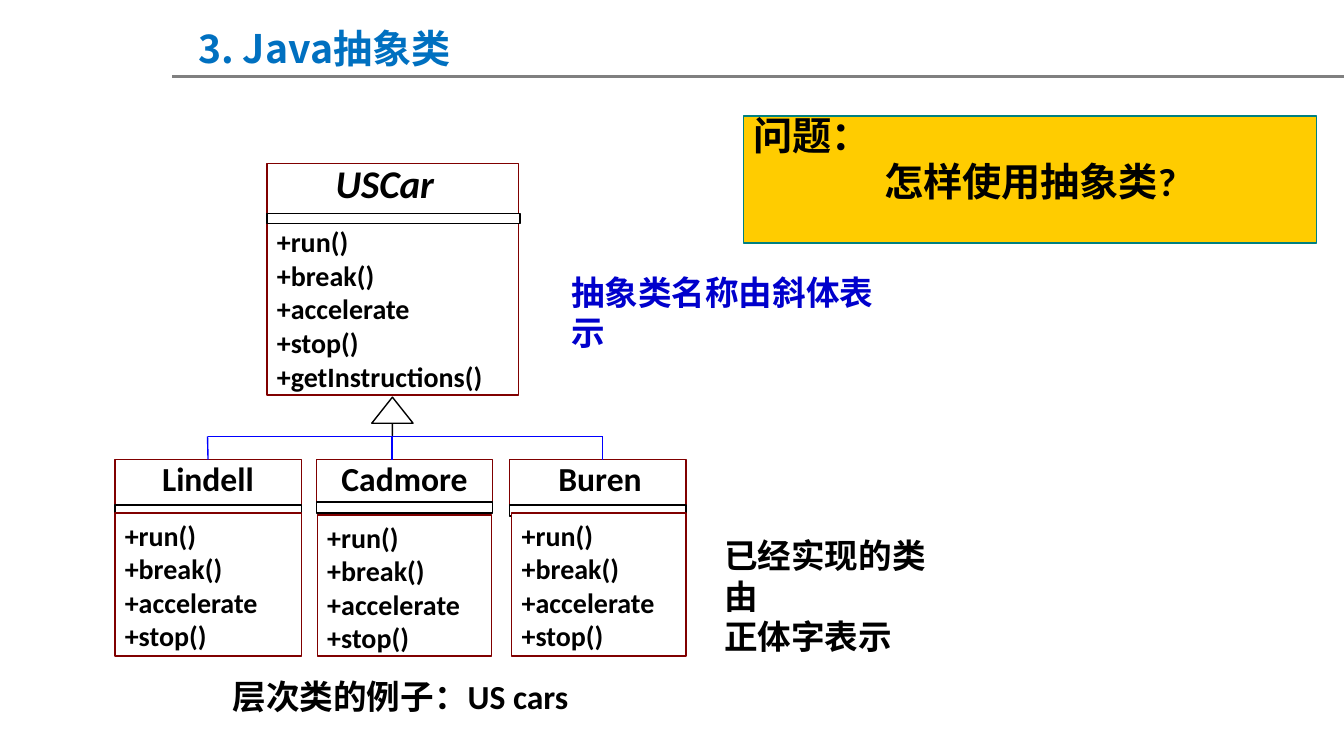
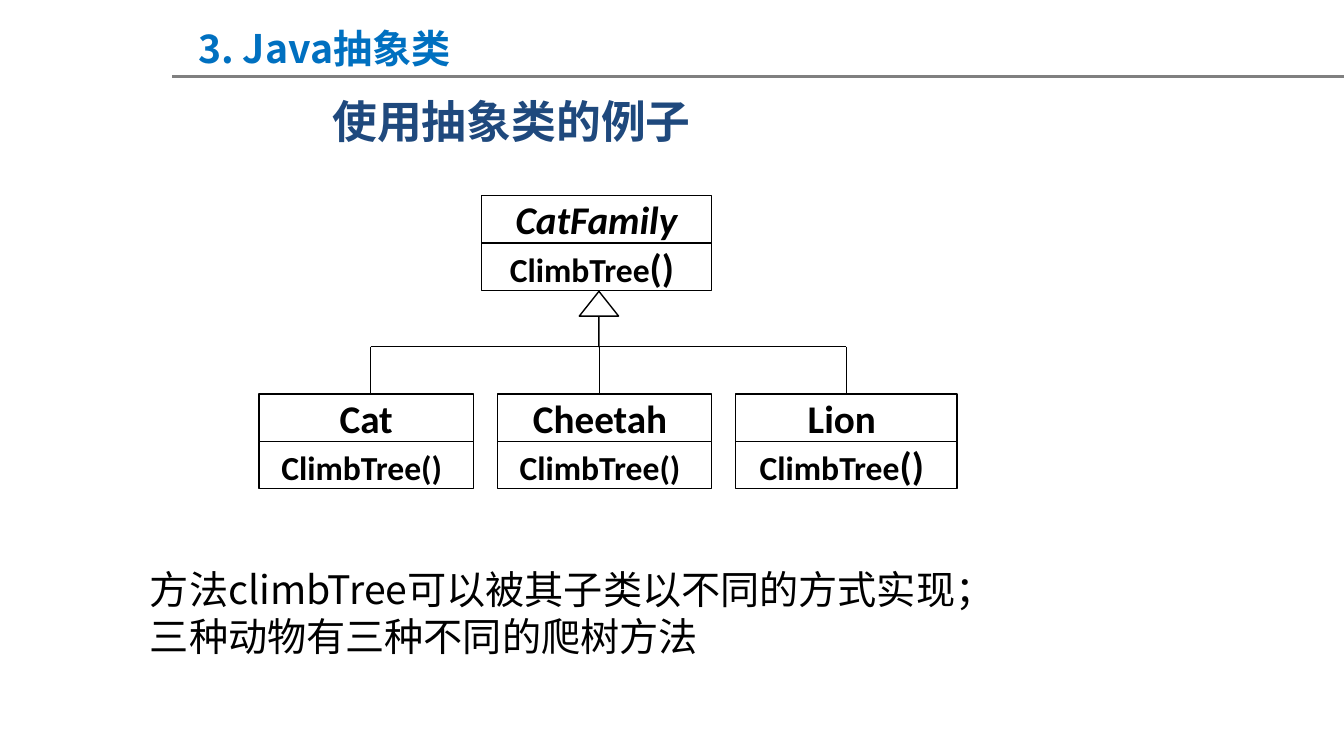
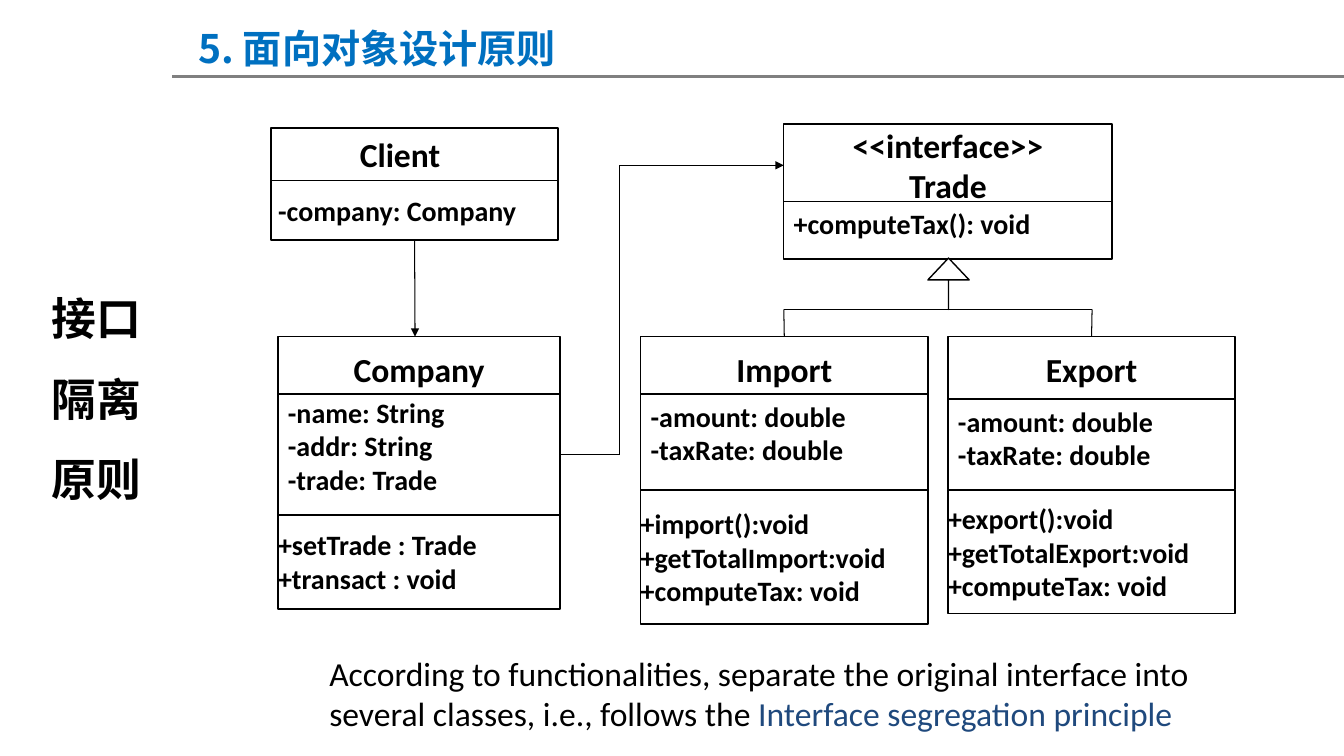
"""Build three slides of class diagrams about abstract classes and interfaces."""
import lxml.etree
import pptx
import pptx.dml.color
import pptx.enum.shapes
import pptx.enum.text
import pptx.oxml.ns
import pptx.util

Inches = pptx.util.Inches
SHAPE = pptx.enum.shapes.MSO_SHAPE
ALIGN = pptx.enum.text.PP_ALIGN
ANCHOR = pptx.enum.text.MSO_ANCHOR

BLACK, WHITE, MAROON, NAVY = "000000", "FFFFFF", "800000", "1F497D"
SANS, NOTO = "Calibri", "Noto Sans CJK SC"

BOLD = {"size": 24, "name": SANS, "bold": True, "color": BLACK}
SMALL = BOLD | {"size": 20}
LARGE = BOLD | {"size": 28}
HUGE = BOLD | {"size": 32}
TITLE = LARGE | {"name": NOTO, "color": "0070C0"}
PLAIN = BOLD | {"bold": False}
PROSE = PLAIN | {"size": 28, "name": NOTO}
SLANT = LARGE | {"italic": True}

MID = {"align": ALIGN.CENTER}
CORE = MID | {"anchor": ANCHOR.MIDDLE}
FLUSH = {"anchor": ANCHOR.MIDDLE, "pad": (0, 0.03, 0, 0.03)}
HEAD = FLUSH | MID
TIGHT = {"pad": (0.1, 0.01, 0.1, 0.01)}

JAVA = "3. Java抽象类"
DESIGN = "5. 面向对象设计原则"

MOVES = ["+run()", "+break()", "+accelerate", "+stop()"]
CARS = [
    ("Lindell", 1.14, 1.85, 0, 5.01, 5.09, (0, 0.05, 0, 0.05)),
    ("Cadmore", 3.14, 1.75, 0.01, 4.98, 5.11, (0.1, 0.05, 0.1, 0.05)),
    ("Buren", 5.06, 1.75, 0.02, 5.01, 5.09, (0.14, 0.05, 0.1, 0.05)),
]
CARWIRES = [
    (2.06, 4.33, 5.98, 4.33, None, None),
    (2.06, 4.33, 2.06, 4.56, None, ("Lindell", 0)),
    (3.89, 4.33, 3.89, 4.56, None, None),
    (5.98, 4.33, 5.98, 4.56, None, None),
]
CARNOTES = [
    (0.43, 6.66, 7.09, 0.5, ["层次类的例子：US cars"], BOLD, MID),
    (5.57, 2.65, 3.27, 0.87, ["抽象类名称由斜体表示"], BOLD | {"color": "0000CC"}, {}),
    (7.09, 5.26, 2.35, 1.27, ["已经实现的类由", "正体字表示"], BOLD, {}),
]

WIDE = [("ClimbTree", {}), ("() ", {"size": 28})]
EVEN = [("ClimbTree()", {}), (" ", {"size": 28})]
CATS = [
    ("CatFamily", 4.78, 1.94, 2.28, SLANT, WIDE),
    ("Cat", 2.57, 3.91, 2.13, LARGE, EVEN),
    ("Cheetah ", 4.94, 3.91, 2.12, LARGE, EVEN),
    ("Lion ", 7.3, 3.91, 2.2, LARGE, WIDE),
]
CATWIRES = [
    (3.68, 3.44, 8.4, 3.44, None, None),
    (3.68, 3.44, 3.68, 3.91, None, None),
    (5.95, 3.44, 5.95, 3.91, None, None),
    (8.4, 3.44, 8.4, 3.91, None, ("Lion ", 0)),
]
CATNOTES = [
    (0.58, 0.93, 9, 0.54, ["使用抽象类的例子"], HUGE | {"color": NAVY}, CORE),
    (1.39, 5.56, 8.82, 1.03,
     ["方法climbTree可以被其子类以不同的方式实现；", "三种动物有三种不同的爬树方法"], PROSE, {}),
]

FIELDS = ["-amount: double", "-taxRate: double"]
TYPES = {
    "Trade": (7.78, 3.26, [
        (1.23, 0.82, ["<<interface>>", "Trade"], BOLD, HEAD),
        (2, 0.57, ["+computeTax(): void"], SMALL, {})]),
    "Client": (2.69, 2.85, [
        (1.27, 0.52, ["Client"], BOLD, HEAD | {"pad": (0.07, 0.03, 0.36, 0.03)}),
        (1.79, 0.59, ["-company: Company"], SMALL, FLUSH | {"pad": (0.07, 0.03, 0.07, 0.03)})]),
    "Company": (2.76, 2.8, [
        (3.34, 0.65, ["Company"], BOLD, HEAD),
        (5.09, 0.95, ["+setTrade : Trade", "+transact : void"], SMALL, FLUSH),
        (3.91, 1.2, ["-name: String", "-addr: String", "-trade: Trade"], SMALL, TIGHT)]),
    "Import": (6.36, 2.85, [
        (3.34, 0.65, ["Import"], BOLD, HEAD),
        (4.86, 1.33, ["+import():void", "+getTotalImport:void", "+computeTax: void"], SMALL, FLUSH),
        (3.91, 0.95, FIELDS, SMALL, {})]),
    "Export": (9.41, 2.85, [
        (3.34, 0.65, ["Export"], BOLD, HEAD),
        (4.86, 1.23, ["+export():void", "+getTotalExport:void", "+computeTax: void"], SMALL, FLUSH),
        (3.96, 0.9, FIELDS, SMALL, {})]),
}
LINKS = [
    (7.78, 3.07, 10.84, 3.07, None, None),
    (7.78, 3.07, 7.78, 3.34, None, ("Import", 0, 0)),
    (10.84, 3.07, 10.84, 3.34, None, ("Export", 0, 0)),
    (5.56, 4.51, 6.15, 4.51, ("Company", 2, 3), None),
    (6.15, 4.51, 6.15, 1.64, None, None),
]
ARROWS = [
    (4.12, 2.38, 4.12, 3.34, ("Client", 1, 2), None),
    (6.15, 1.64, 7.78, 1.64, None, ("Trade", 0, 1)),
]
RULE = [
    ("According to functionalities, separate the original interface into "
     "several classes, i.e., follows the ", {}),
    ("Interface segregation principle", {"color": NAVY}),
]
TYPENOTES = [
    (3.17, 6.43, 8.78, 0.83, [RULE], PLAIN, {}),
    (0.29, 2.57, 1.34, 1.48, ["接口隔离原则"], HUGE, MID | {"lead": 1.5}),
]


def tint(code):
    return pptx.dml.color.RGBColor.from_string(code)


def tag(name):
    return pptx.oxml.ns.qn(name)


def write(frame, lines, face, form):
    frame.word_wrap = True
    frame.vertical_anchor = form.get("anchor", ANCHOR.TOP)
    sides = ("margin_left", "margin_top", "margin_right", "margin_bottom")
    for side, gap in zip(sides, form.get("pad", (0.1, 0.05, 0.1, 0.05))):
        setattr(frame, side, Inches(gap))
    for i, line in enumerate(lines):
        para = frame.paragraphs[0] if i == 0 else frame.add_paragraph()
        para.alignment = form.get("aligns", {}).get(i, form.get("align", ALIGN.LEFT))
        para.line_spacing = form.get("lead", 1.0)
        para.space_before = pptx.util.Pt(form.get("gap", 0) if i else 0)
        for text, extra in [(line, {})] if isinstance(line, str) else line:
            run = para.add_run()
            run.text = text
            look = face | extra
            font = run.font
            font.color.rgb = tint(look["color"])
            values = look | {"size": pptx.util.Pt(look["size"])}
            values.pop("color")
            for key, value in values.items():
                setattr(font, key, value)
            east = lxml.etree.SubElement(run._r.get_or_add_rPr(), tag("a:ea"))
            east.set("typeface", look["name"])


def note(page, x, y, w, h, lines, face, form):
    area = page.shapes.add_textbox(*map(Inches, (x, y, w, h)))
    write(area.text_frame, lines, face, form)


def box(page, x, y, w, h, lines=(), face=BOLD, form=None, edge=BLACK, fill=WHITE, kind=SHAPE.RECTANGLE):
    shape = page.shapes.add_shape(kind, *map(Inches, (x, y, w, h)))
    shape.shadow.inherit = False
    shape.fill.solid()
    shape.fill.fore_color.rgb = tint(fill)
    shape.line.color.rgb = tint(edge)
    shape.line.width = pptx.util.Pt(1)
    write(shape.text_frame, lines, face, form or {})
    return shape


def wire(page, x1, y1, x2, y2, start=None, stop=None, color=BLACK, width=1, arrow=False):
    ends = map(Inches, (x1, y1, x2, y2))
    line = page.shapes.add_connector(pptx.enum.shapes.MSO_CONNECTOR.STRAIGHT, *ends)
    line.line.color.rgb = tint(color)
    line.line.width = pptx.util.Pt(width)
    if arrow:
        tip = lxml.etree.SubElement(line.line._get_or_add_ln(), tag("a:tailEnd"))
        tip.set("type", "triangle")
    lxml.etree.SubElement(line._element.spPr, tag("a:effectLst"))
    if start:
        line.begin_connect(*start)
    if stop:
        line.end_connect(*stop)


def parent(page, x, y, w, h, head):
    mark = box(page, x, y, w, h, kind=SHAPE.UP_ARROW)
    mark.adjustments[0] = 0
    mark.adjustments[1] = head


def begin(deck, title):
    page = deck.slides.add_slide(deck.slide_layouts[6])
    wire(page, 1.71, 0.76, 13.34, 0.76, color="808080", width=2)
    note(page, 1.87, 0.19, 6.85, 0.57, [title], TITLE, {})
    return page


def cars(deck):
    page = begin(deck, JAVA)
    box(page, 7.38, 1.15, 5.69, 1.26, ["问题：", "怎样使用抽象类?"], LARGE,
        {"lead": 0.8, "gap": 5.6, "aligns": {1: ALIGN.CENTER}}, "008080", "FFCC00")
    box(page, 2.65, 1.62, 2.5, 0.58, ["USCar"], SLANT,
        MID | {"lead": 0.8, "pad": (0.1, 0.05, 0.26, 0.05)}, MAROON)
    box(page, 2.65, 2.18, 2.5, 1.74, MOVES + ["+getInstructions()"], SMALL, edge=MAROON)
    box(page, 2.65, 2.12, 2.51, 0.1)
    heads = {}
    for name, x, w, inset, bar, body, pad in CARS:
        form = MID | {"lead": 0.85, "pad": pad}
        heads[name] = box(page, x, 4.56, w, 0.46, [name], BOLD, form, MAROON)
        box(page, x, bar, w, 0.11)
        box(page, x + inset, body, w - (0.02 if inset else 0), 6.51 - body, MOVES, SMALL, edge=MAROON)
    for *ends, start, stop in CARWIRES:
        wire(page, *ends, stop=stop and (heads[stop[0]], stop[1]), color="0000FF")
    parent(page, 3.69, 3.94, 0.41, 0.38, 0.68)
    for item in CARNOTES:
        note(page, *item)


def cats(deck):
    page = begin(deck, JAVA)
    heads = {}
    for name, x, y, w, face, method in CATS:
        heads[name] = box(page, x, y, w, 0.47, [name], face, CORE)
        box(page, x, y + 0.47, w, 0.47, [method], BOLD, CORE)
    parent(page, 5.75, 2.89, 0.39, 0.55, 0.63)
    for *ends, start, stop in CATWIRES:
        wire(page, *ends, stop=stop and (heads[stop[0]], stop[1]))
    for item in CATNOTES:
        note(page, *item)


def trade(deck):
    page = begin(deck, DESIGN)
    parts = {}
    for name, (x, w, rows) in TYPES.items():
        for i, (y, h, *rest) in enumerate(rows):
            parts[name, i] = box(page, x, y, w, h, *rest)
    parent(page, 9.21, 2.56, 0.41, 0.51, 0.53)
    for group, arrow in ((LINKS, False), (ARROWS, True)):
        for *ends, start, stop in group:
            joins = [end and (parts[end[:2]], end[2]) for end in (start, stop)]
            wire(page, *ends, *joins, width=0.75, arrow=arrow)
    for item in TYPENOTES:
        note(page, *item)


def main():
    deck = pptx.Presentation()
    deck.slide_width, deck.slide_height = Inches(13.34), Inches(7.5)
    for build in (cars, cats, trade):
        build(deck)
    deck.save("out.pptx")


if __name__ == "__main__":
    main()
